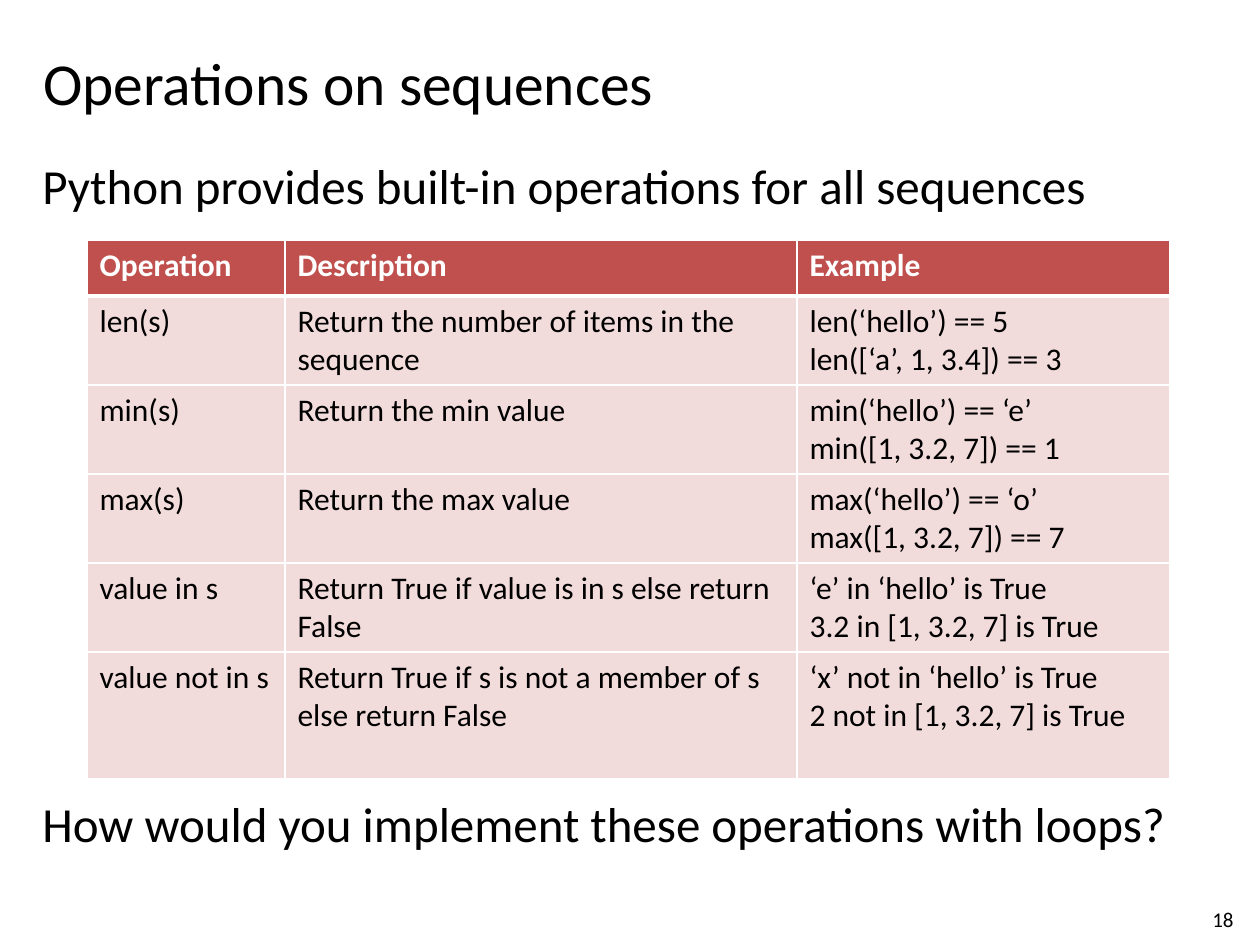
from typing import NamedTuple

from lxml import etree
from pptx import Presentation
from pptx.dml.color import RGBColor
from pptx.enum.text import MSO_ANCHOR
from pptx.oxml.ns import qn
from pptx.util import Emu, Pt

MIDDLE = MSO_ANCHOR.MIDDLE
TOP = MSO_ANCHOR.TOP

BLACK = RGBColor(0x00, 0x00, 0x00)
WHITE = RGBColor(0xFF, 0xFF, 0xFF)
RED = RGBColor(0xC0, 0x50, 0x4D)
PINK = RGBColor(0xF2, 0xDC, 0xDB)
FONT = "Calibri"
PX_PER_INCH = 126


class Label(NamedTuple):
    text: str
    left: int
    top: int
    width: int
    height: int
    size: int
    anchor: MSO_ANCHOR = TOP


class Operation(NamedTuple):
    name: str
    description: str
    example: str


LABELS = [
    Label("Python provides built-in operations for all sequences", 30, 149, 1230, 73, 28),
    Label("How would you implement these operations with loops?", 30, 787, 1230, 73, 28),
    Label("Operations on sequences", 31, 38, 1092, 88, 34, MIDDLE),
    Label("18", 1200, 900, 50, 30, 12),
]

HEADER = Operation("Operation", "Description", "Example")
OPERATIONS = [
    Operation("len(s)", "Return the number of items in the sequence",
              "len(‘hello’) == 5\nlen([‘a’, 1, 3.4]) == 3"),
    Operation("min(s)", "Return the min value",
              "min(‘hello’) == ‘e’\nmin([1, 3.2, 7]) == 1"),
    Operation("max(s)", "Return the max value",
              "max(‘hello’) == ‘o’\nmax([1, 3.2, 7]) == 7"),
    Operation("value in s", "Return True if value is in s else return False",
              "‘e’ in ‘hello’ is True\n3.2 in [1, 3.2, 7] is True"),
    Operation("value not in s", "Return True if s is not a member of s else return False",
              "‘x’ not in ‘hello’ is True\n2 not in [1, 3.2, 7] is True"),
]
TABLE_LEFT, TABLE_TOP = 87, 240
COLUMN_WIDTHS = [198, 512, 373]
ROW_HEIGHTS = [56, 89, 89, 89, 89, 127]


def px(n: int) -> Emu:
    return Emu(round(n * 914400 / PX_PER_INCH))


def style_text(tf, size: int, color: RGBColor, bold: bool = False) -> None:
    for p in tf.paragraphs:
        p.font.name = FONT
        p.font.size = Pt(size)
        p.font.bold = bold
        p.font.color.rgb = color


def draw_label(s, label: Label) -> None:
    sp = s.shapes.add_textbox(px(label.left), px(label.top), px(label.width), px(label.height))
    tf = sp.text_frame
    tf.word_wrap = True
    tf.vertical_anchor = label.anchor
    tf.text = label.text
    style_text(tf, label.size, BLACK)


def set_borders(cell, bottom: int) -> None:
    tc_pr = cell._tc.get_or_add_tcPr()
    for side, width in (("lnL", 1), ("lnR", 1), ("lnT", 1), ("lnB", bottom)):
        ln = etree.SubElement(tc_pr, qn(f"a:{side}"), w=str(Pt(width)))
        fill = etree.SubElement(ln, qn("a:solidFill"))
        etree.SubElement(fill, qn("a:srgbClr"), val=str(WHITE))


def draw_cell(cell, text: str, is_header: bool) -> None:
    cell.text = text
    style_text(cell.text_frame, 18, WHITE if is_header else BLACK, is_header)
    set_borders(cell, 3 if is_header else 1)
    cell.fill.solid()
    cell.fill.fore_color.rgb = RED if is_header else PINK


def draw_table(s, rows: list[Operation]) -> None:
    table = s.shapes.add_table(
        len(rows), len(COLUMN_WIDTHS), px(TABLE_LEFT), px(TABLE_TOP),
        px(sum(COLUMN_WIDTHS)), px(sum(ROW_HEIGHTS))).table
    for column, width in zip(table.columns, COLUMN_WIDTHS):
        column.width = px(width)
    for i, (row, height) in enumerate(zip(rows, ROW_HEIGHTS)):
        table.rows[i].height = px(height)
        for j, text in enumerate(row):
            draw_cell(table.cell(i, j), text, i == 0)


def main() -> None:
    prs = Presentation()
    prs.slide_width, prs.slide_height = px(1260), px(945)
    s = prs.slides.add_slide(prs.slide_layouts[6])
    for label in LABELS:
        draw_label(s, label)
    draw_table(s, [HEADER, *OPERATIONS])
    prs.save("out.pptx")


if __name__ == "__main__":
    main()
